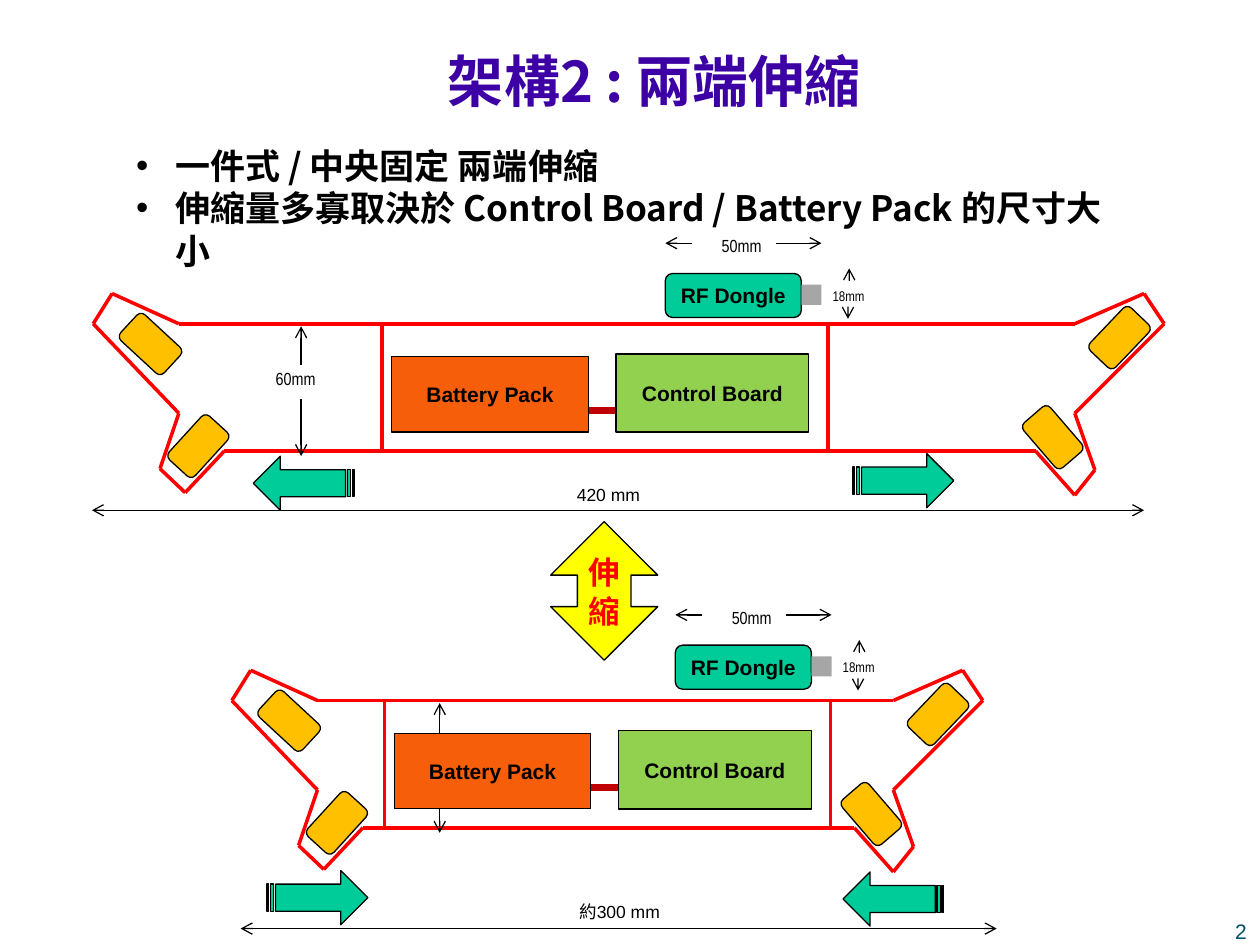
from dataclasses import dataclass
from itertools import pairwise

from lxml.etree import SubElement
from pptx import Presentation
from pptx.dml.color import RGBColor
from pptx.enum.shapes import MSO_CONNECTOR, MSO_SHAPE as Preset
from pptx.enum.text import MSO_ANCHOR as Anchor, MSO_AUTO_SIZE, PP_ALIGN as Align
from pptx.oxml.ns import qn
from pptx.util import Cm, Pt

COLORS = {
    "title": "3D00A4", "text": "000000", "outline": "FF0000", "page": "00506E",
    "pad": "FFC000", "battery": "F65E0A", "board": "92D050", "cable": "C00000",
    "green": "00CC99", "plug": "A6A6A6", "yellow": "FFFF00",
}
CJK, SANS, NARROW = "Noto Sans CJK SC", "Arial", "Arial Narrow"
Point = tuple[float, float]
Box = tuple[float, float, float, float]


@dataclass(frozen=True)
class Pad:
    """Cushion at a tip of the body."""
    left: float
    top: float
    angle: float


@dataclass(frozen=True)
class End:
    """Sliding end piece: its outline and cushions."""
    outline: tuple[Point, ...]
    pads: tuple[Pad, ...]


@dataclass(frozen=True)
class Stance:
    """Shifts of the parts and the dimensions of one state of the device."""
    left: float
    middle: float
    right: float
    down: float
    dongle: Point
    span: tuple[float, float, float]
    label: str
    label_at: Point
    arrows: tuple[tuple[float, float, int], ...]
    height_label: str = ""


LEFT_END = End(
    ((1.42, 2.57), (0.89, 2.33), (0.74, 2.57), (1.42, 3.28), (1.27, 3.72), (1.47, 3.91), (1.78, 3.58)),
    (Pad(0.96, 2.59, 42.8), Pad(1.34, 3.4, 312.4)))
RIGHT_END = End(
    ((8.53, 2.57), (9.08, 2.33), (9.24, 2.57), (8.53, 3.28), (8.69, 3.73), (8.53, 3.93), (8.22, 3.58)),
    (Pad(8.65, 2.54, 133.6), Pad(8.12, 3.33, 229.3)))
STANCES = (
    Stance(0, 0, 0, 0, (0, 0), (0.73, 9.08, 4.05), "420 mm", (4.48, 3.79),
           ((2.01, 3.62, 180), (6.77, 3.6, 0)), "60mm"),
    Stance(1.1, 0.02, -1.44, 2.99, (0.08, 2.95), (1.91, 7.91, 7.37), "約300 mm", (4.5, 7.1),
           ((6.69, 6.92, 180), (2.12, 6.91, 0))),
)


def inch(value: float) -> Cm:
    """Length of the inch grid in centimetres."""
    return Cm(value * 2.54)


def rgb(name: str) -> RGBColor:
    """Colour from the palette."""
    return RGBColor.from_string(COLORS[name])


def write(frame, text: str, *, size=10, font=SANS, color="text", bold=False,
          align=Align.LEFT, anchor=Anchor.TOP, spacing=None, inset=None) -> None:
    """Fill a text frame, one paragraph for each line of text."""
    frame.word_wrap, frame.vertical_anchor = True, anchor
    frame.auto_size = MSO_AUTO_SIZE.NONE
    if inset is not None:
        frame.margin_left = frame.margin_right = inch(inset)
    frame.text = text
    for paragraph in frame.paragraphs:
        paragraph.alignment = align
        paragraph.space_before = Pt(0)
        if spacing:
            paragraph.line_spacing = Pt(spacing)
        for run in paragraph.runs:
            run.font.size, run.font.bold, run.font.name = Pt(size), bold, font
            run.font.color.rgb = rgb(color)
            SubElement(run.font._element, qn("a:ea"), typeface=font)


def place(shape, box: Box) -> None:
    """Move and size a shape."""
    shape.left, shape.top, shape.width, shape.height = map(inch, box)


def add_label(slide, box: Box, text: str, **style) -> None:
    """Add free text."""
    write(slide.shapes.add_textbox(*map(inch, box)).text_frame, text, **style)


def add_part(slide, preset, box: Box, fill: str, text="", angle=0.0, outlined=True, **style) -> None:
    """Add a filled shape with optional centred text."""
    part = slide.shapes.add_shape(preset, *map(inch, box))
    part.shadow.inherit = False
    part.rotation = angle
    part.fill.solid()
    part.fill.fore_color.rgb = rgb(fill)
    if outlined:
        part.line.color.rgb = rgb("text")
        part.line.width = Pt(0.75)
    else:
        part.line.fill.background()
    if text:
        write(part.text_frame, text, align=Align.CENTER, anchor=Anchor.MIDDLE,
              **{"size": 12, "bold": True, **style})


def add_line(slide, start: Point, end: Point, color="outline", width=2.0, arrows=()) -> None:
    """Add a straight line with arrowheads at the named ends."""
    line = slide.shapes.add_connector(MSO_CONNECTOR.STRAIGHT, *map(inch, (*start, *end)))
    line.line.color.rgb = rgb(color)
    line.line.width = Pt(width)
    for tip in arrows:
        SubElement(line.line._get_or_add_ln(), qn(f"a:{tip}"), type="arrow")
    SubElement(line._element.spPr, qn("a:effectLst"))


def add_measure(slide, start: Point, end: Point, arrows=("tailEnd",)) -> None:
    """Add a thin dimension arrow."""
    add_line(slide, start, end, "text", 0.75, arrows)


def add_end(slide, end: End, dx: float, dy: float) -> None:
    """Draw one sliding end piece."""
    for (x1, y1), (x2, y2) in pairwise(end.outline):
        add_line(slide, (x1 + dx, y1 + dy), (x2 + dx, y2 + dy))
    for pad in end.pads:
        add_part(slide, Preset.ROUNDED_RECTANGLE, (pad.left + dx, pad.top + dy, 0.47, 0.28),
                 "pad", angle=pad.angle)


def add_dongle(slide, dx: float, dy: float) -> None:
    """Draw the dongle and its dimensions."""
    add_part(slide, Preset.ROUNDED_RECTANGLE, (5.28 + dx, 2.17 + dy, 1.08, 0.35), "green",
             "RF Dongle", inset=0)
    add_part(slide, Preset.RECTANGLE, (6.36 + dx, 2.26 + dy, 0.16, 0.16), "plug", outlined=False)
    for x1, y1, x2, y2 in ((6.16, 1.93, 6.52, 1.93), (5.49, 1.93, 5.28, 1.93),
                           (6.74, 2.23, 6.74, 2.13), (6.73, 2.47, 6.73, 2.53)):
        add_measure(slide, (x1 + dx, y1 + dy), (x2 + dx, y2 + dy))
    add_label(slide, (5.63 + dx, 1.82 + dy, 0.67, 0.27), "50mm", font=NARROW)
    add_label(slide, (6.51 + dx, 2.23 + dy, 0.46, 0.24), "18mm", font=NARROW, size=8)


def add_device(slide, stance: Stance) -> None:
    """Draw the whole device in one state."""
    left, mid, right, dy = stance.left, stance.middle, stance.right, stance.down
    add_end(slide, LEFT_END, left, dy)
    add_end(slide, RIGHT_END, right, dy)
    for edge in (0, -1):
        x1, y = LEFT_END.outline[edge]
        x2 = RIGHT_END.outline[edge][0]
        add_line(slide, (x1 + left, y + dy), (x2 + right, y + dy))
    for y1, y2 in ((2.9, 2.59), (3.17, 3.62)):
        add_measure(slide, (2.39 + left, y1 + dy), (2.39 + left, y2 + dy))
    if stance.height_label:
        add_label(slide, (2.09, 2.87, 0.67, 0.27), stance.height_label, font=NARROW)
    add_line(slide, (4.53 + mid, 3.26 + dy), (5.05 + mid, 3.26 + dy), "cable", 4)
    add_part(slide, Preset.RECTANGLE, (3.11 + mid, 2.83 + dy, 1.56, 0.6), "battery", "Battery Pack")
    add_part(slide, Preset.RECTANGLE, (4.89 + mid, 2.81 + dy, 1.53, 0.62), "board", "Control Board")
    for x in (3.03, 6.57):
        add_line(slide, (x + mid, 2.57 + dy), (x + mid, 3.58 + dy))
    start, end, y = stance.span
    add_measure(slide, (end, y), (start, y), ("headEnd", "tailEnd"))
    add_label(slide, (*stance.label_at, 0.91, 0.27), stance.label)
    for x, y, angle in stance.arrows:
        add_part(slide, Preset.STRIPED_RIGHT_ARROW, (x, y, 0.8, 0.43), "green", angle=angle)
    add_dongle(slide, *stance.dongle)


def add_headings(slide) -> None:
    """Fill the title and the bullet list."""
    title, points = slide.placeholders
    place(title, (0.87, 0.27, 8.65, 0.8))
    write(title.text_frame, "架構2 : 兩端伸縮", size=32, font=CJK, color="title", bold=True,
          align=Align.CENTER, spacing=42)
    place(points, (0.98, 1.09, 8.08, 0.77))
    write(points.text_frame, "一件式 / 中央固定 兩端伸縮\n"
          "伸縮量多寡取決於 Control Board / Battery Pack 的尺寸大小",
          size=20, font=CJK, bold=True, spacing=24.3)
    for paragraph in points.text_frame.paragraphs:
        layout = paragraph._p.get_or_add_pPr()
        layout.set("marL", str(inch(0.31)))
        layout.set("indent", str(-inch(0.31)))
        SubElement(layout, qn("a:buChar"), char="•")


def main() -> None:
    """Build and save the slide."""
    deck = Presentation()
    deck.slide_width, deck.slide_height = inch(10), inch(7.5)
    slide = deck.slides.add_slide(deck.slide_layouts[1])
    add_headings(slide)
    for stance in STANCES:
        add_device(slide, stance)
    add_part(slide, Preset.UP_DOWN_ARROW, (4.37, 4.14, 0.85, 1.1), "yellow", "伸\n縮",
             size=18, color="outline", spacing=22, inset=0)
    add_label(slide, (9.57, 7.24, 0.56, 0.23), "2", size=12, color="page", align=Align.CENTER)
    deck.save("out.pptx")


main()
